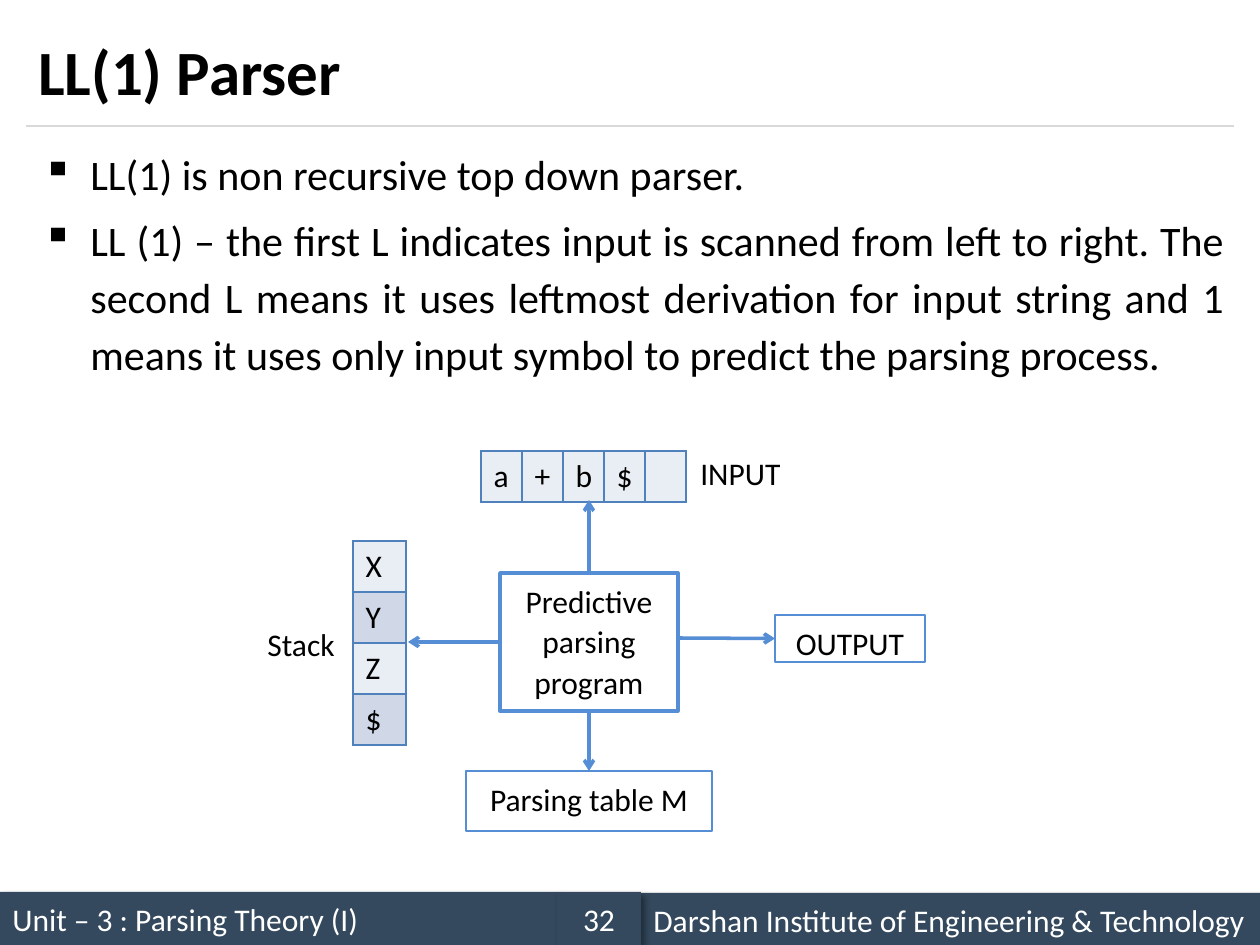
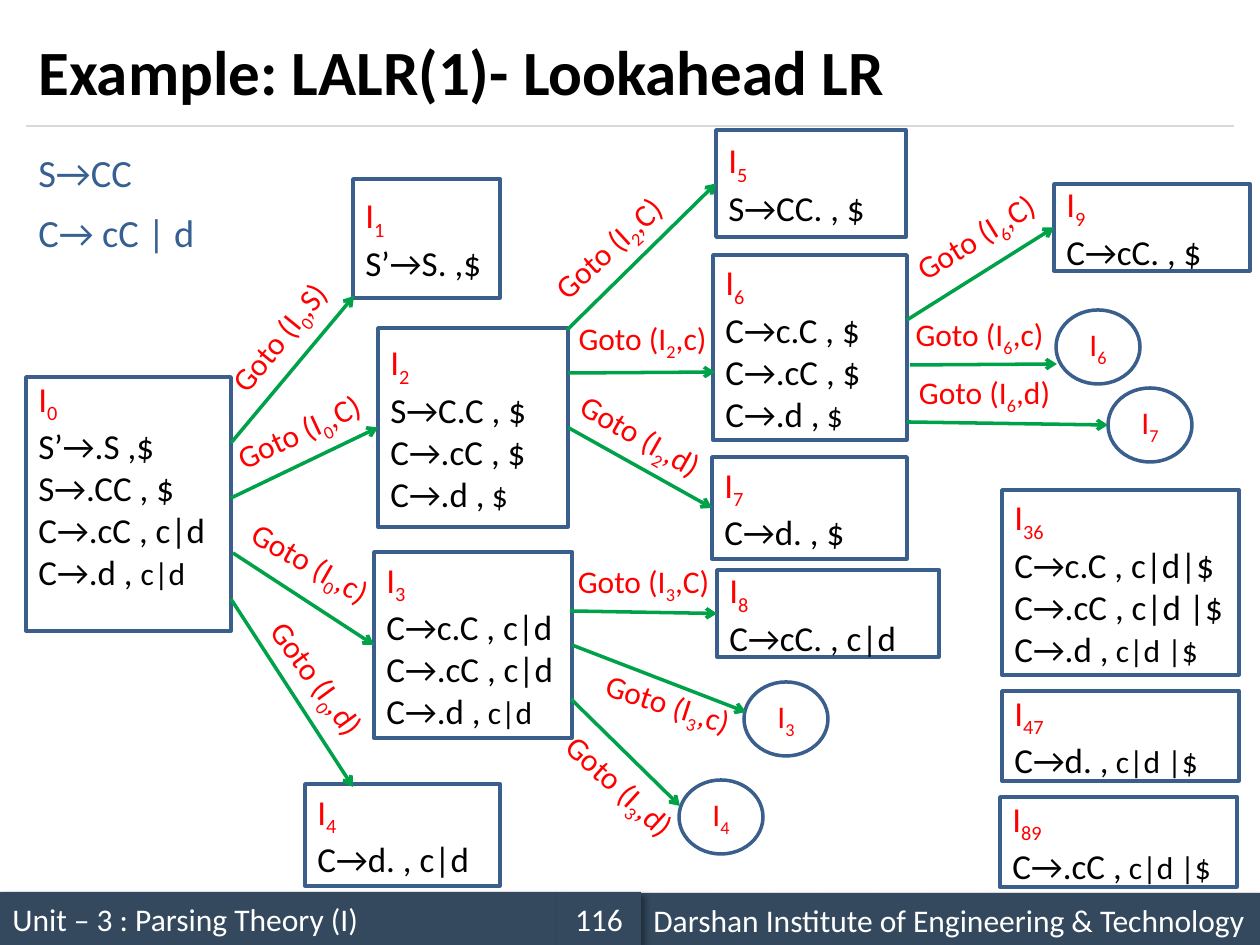
"""Builds two compiler-design slides: the LL(1) parser model and an LALR(1) state graph."""
from lxml import etree
from pptx import Presentation
from pptx.dml.color import RGBColor
from pptx.enum.shapes import MSO_CONNECTOR, MSO_SHAPE
from pptx.enum.text import MSO_ANCHOR, PP_ALIGN
from pptx.oxml import parse_xml
from pptx.oxml.ns import nsdecls, qn
from pptx.util import Emu, Pt

RECT, OVAL = MSO_SHAPE.RECTANGLE, MSO_SHAPE.OVAL
STRAIGHT = MSO_CONNECTOR.STRAIGHT
TOP, MIDDLE = MSO_ANCHOR.TOP, MSO_ANCHOR.MIDDLE
LEFT, CENTER, JUSTIFY = PP_ALIGN.LEFT, PP_ALIGN.CENTER, PP_ALIGN.JUSTIFY
SITE_TOP, SITE_LEFT, SITE_BOTTOM, SITE_RIGHT = range(4)

PX = 914400 / 126
FONT = "Calibri"
COLORS = {
    "text": "000000", "white": "FFFFFF", "footer": "34495E", "rule": "D9D9D9",
    "model": "558ED5", "grid": "4F81BD", "cell": "E9EDF4", "cell_alt": "D0D8E8",
    "grammar": "376092", "state": "3A5F8C", "label": "FF0000", "edge": "00A249",
}

UNIT = "Unit – 3 : Parsing Theory (I)"
INSTITUTE = "Darshan Institute of Engineering & Technology"

LL_POINTS = [
    "LL(1) is non recursive top down parser.",
    "LL (1) – the first L indicates input is scanned from left to right. The second L means "
    "it uses leftmost derivation for input string and 1 means it uses only input symbol to "
    "predict the parsing process.",
]
MODEL_BOXES = [
    ("Predictive parsing program", (500, 573, 178, 138), "model", 2, CENTER),
    ("Parsing table M", (466, 771, 246, 60), "model", 1.5, CENTER),
    ("INPUT", (688, 445, 116, 46), "white", 0.75, LEFT),
    ("OUTPUT", (775, 615, 150, 47), "model", 1.5, CENTER),
    ("Stack", (255, 616, 97, 53), "white", 0.75, LEFT),
]
INPUT_ROW = [["a", "+", "b", "$", ""]]
STACK_COLUMN = [["X"], ["Y"], ["Z"], ["$"]]

GRAMMAR = ["S→CC", "C→ cC | d"]
STATES = {
    "0": ((26, 377, 205, 254), [["S’→.S ,$"], ["S→.CC , $"], ["C→.cC , c|d"], ["C→.d , ", "c|d"]]),
    "1": ((353, 179, 147, 119), [["S’→S. ,$"]]),
    "2": ((378, 328, 190, 199), [["S→C.C , $"], ["C→.cC , $"], ["C→.d ,", " $"]]),
    "3": ((374, 552, 198, 186), [["C→c.C , c|d"], ["C→.cC , c|d"], ["C→.d ,", " c|d"]]),
    "4": ((305, 784, 195, 102), [["C→d. , c|d"]]),
    "5": ((716, 130, 190, 107), [["S→CC. , $"]]),
    "6": ((713, 255, 194, 185), [["C→c.C , $"], ["C→.cC , $"], ["C→.d ,", " $"]]),
    "7": ((712, 457, 195, 102), [["C→d. , $"]]),
    "8": ((717, 570, 222, 87), [["C→cC. , c|d"]]),
    "9": ((1054, 184, 196, 87), [["C→cC. , $"]]),
    "36": ((1002, 490, 237, 185), [["C→c.C , c|d|$"], ["C→.cC , c|d |$"], ["C→.d ,", " c|d |$"]]),
    "47": ((1002, 691, 237, 90), [["C→d. ,", " c|d |$"]]),
    "89": ((1000, 797, 237, 90), [["C→.cC ,", " c|d |$"]]),
}
STATE_0_BOTTOM = 44
REPEATED = [("3", 744, 682), ("4", 679, 780), ("6", 1056, 310), ("7", 1108, 388)]
REPEATED_SIZE = (84, 74)
GOTOS = [
    ("0", "S", (189, 307), 309.1, (231, 443), (354, 296)),
    ("0", "C", (208, 402), 334.9, (231, 498), "2"),
    ("0", "c", (218, 533), 29.7, (233, 553), "3"),
    ("0", "d", (224, 648), 53.7, (231, 599), (353, 787)),
    ("2", "C", (518, 218), 317.5, (567, 330), "5"),
    ("2", "c", (551, 309), 0, (568, 373), (715, 372)),
    ("2", "d", (548, 406), 29.6, "2", "7"),
    ("3", "C", (552, 552), 0, (570, 611), "8"),
    ("3", "c", (576, 674), 17.8, "3", (746, 712)),
    ("3", "d", (527, 756), 42.4, (571, 699), (680, 806)),
    ("6", "C", (885, 207), 328.3, (907, 320), "9"),
    ("6", "c", (888, 305), 0, (910, 365), (1057, 364)),
    ("6", "d", (893, 363), 0, (907, 422), (1108, 425)),
]
GOTO_SIZE = (183, 63)


def px(*values):
    return [Emu(round(v * PX)) for v in values]


def color(name):
    return RGBColor.from_string(COLORS[name])


def add_run(p, text, size, ink="text", bold=False, sub=False):
    r = p.add_run()
    r.text = text
    r.font.name, r.font.size, r.font.bold = FONT, Pt(size), bold
    r.font.color.rgb = color(ink)
    if sub:
        r._r.get_or_add_rPr().set("baseline", "-25000")


def add_paragraph(tf, first, align=LEFT):
    p = tf.paragraphs[0] if first else tf.add_paragraph()
    p.alignment = align
    return p


def add_frame(s, at, anchor=TOP):
    sp = s.shapes.add_textbox(*px(*at))
    sp.text_frame.word_wrap = True
    sp.text_frame.vertical_anchor = anchor
    return sp


def add_box(s, at, kind=RECT, fill=None, line=None, width=1, anchor=MIDDLE):
    sp = s.shapes.add_shape(kind, *px(*at))
    sp.shadow.inherit = False
    if fill:
        sp.fill.solid()
        sp.fill.fore_color.rgb = color(fill)
    else:
        sp.fill.background()
    if line:
        sp.line.color.rgb = color(line)
        sp.line.width = Pt(width)
    else:
        sp.line.fill.background()
    sp.text_frame.word_wrap = True
    sp.text_frame.vertical_anchor = anchor
    return sp


def add_line(s, start, end, ink, width, arrow=True, begin=None, finish=None):
    c = s.shapes.add_connector(STRAIGHT, *px(*start, *end))
    c.line.color.rgb = color(ink)
    c.line.width = Pt(width)
    if arrow:
        etree.SubElement(c.line._get_or_add_ln(), qn("a:tailEnd"), type="arrow")
    etree.SubElement(c._element.spPr, qn("a:effectLst"))
    if begin:
        c.begin_connect(*begin)
    if finish:
        c.end_connect(*finish)


def add_footer_band(s, at, text, align):
    sp = add_box(s, at, fill="footer")
    effects = sp._element.spPr.find(qn("a:effectLst"))
    effects.append(parse_xml(
        f'<a:outerShdw {nsdecls("a")} blurRad="50800" dist="38100" dir="2700000" algn="tl" '
        'rotWithShape="0"><a:srgbClr val="000000"><a:alpha val="40000"/></a:srgbClr></a:outerShdw>'))
    add_run(add_paragraph(sp.text_frame, True, align), text, 18, "white")


def add_base(prs, title, number):
    s = prs.slides.add_slide(prs.slide_layouts[6])
    add_footer_band(s, (0, 892, 557, 53), UNIT, LEFT)
    add_line(s, (26, 126), (1234, 126), "rule", 0.75, arrow=False)
    add_footer_band(s, (641, 893, 619, 53), INSTITUTE, LEFT)
    add_footer_band(s, (557, 892, 84, 53), number, CENTER)
    sp = add_frame(s, (26, 15, 1207, 111), MIDDLE)
    add_run(sp.text_frame.paragraphs[0], title, 36, bold=True)
    return s


def add_body(s, at, lines, size, ink="text", bullet=None, align=LEFT):
    tf = add_frame(s, at).text_frame
    for i, text in enumerate(lines):
        p = add_paragraph(tf, i == 0, align)
        p.line_spacing = 1.14
        if i:
            p.space_before = Pt(size * 0.2)
        if bullet:
            pPr = p._p.get_or_add_pPr()
            indent = px(48)[0]
            pPr.set("marL", str(indent))
            pPr.set("indent", str(-indent))
            etree.SubElement(pPr, qn("a:buChar"), char=bullet)
        add_run(p, text, size, ink)


def add_cells(s, left, top, width, height, rows):
    shape = s.shapes.add_table(len(rows), len(rows[0]),
                               *px(left, top, width * len(rows[0]), height * len(rows)))
    table = shape.table
    for column in table.columns:
        column.width = px(width)[0]
    for y, row in enumerate(rows):
        table.rows[y].height = px(height)[0]
        for x, text in enumerate(row):
            cell = table.cell(y, x)
            tcPr = cell._tc.get_or_add_tcPr()
            for side in ("lnL", "lnR", "lnT", "lnB"):
                tcPr.append(parse_xml(
                    f'<a:{side} {nsdecls("a")} w="12700"><a:solidFill>'
                    f'<a:srgbClr val="{COLORS["grid"]}"/></a:solidFill></a:{side}>'))
            cell.fill.solid()
            cell.fill.fore_color.rgb = color("cell_alt" if y % 2 else "cell")
            if text:
                add_run(cell.text_frame.paragraphs[0], text, 18)


def build_ll_parser(prs):
    s = add_base(prs, "LL(1) Parser", "32")
    add_body(s, (30, 135, 1207, 735), LL_POINTS, 24, bullet="▪", align=JUSTIFY)
    boxes = {}
    for text, at, line, width, align in MODEL_BOXES:
        sp = add_box(s, at, fill="white", line=line, width=width, anchor=TOP)
        p = add_paragraph(sp.text_frame, True, align)
        p.line_spacing = 1.07
        add_run(p, text, 18)
        boxes[text] = sp
    program = boxes["Predictive parsing program"]
    add_cells(s, 481, 451, 41, 51, INPUT_ROW)
    add_cells(s, 353, 541, 53, 51, STACK_COLUMN)
    add_line(s, (589, 573), (589, 500), "model", 2, begin=(program, SITE_TOP))
    add_line(s, (500, 642), (408, 642), "model", 2, begin=(program, SITE_LEFT))
    add_line(s, (678, 638), (775, 638), "model", 2, finish=(boxes["OUTPUT"], SITE_LEFT))
    add_line(s, (589, 711), (589, 771), "model", 2, begin=(program, SITE_BOTTOM),
             finish=(boxes["Parsing table M"], SITE_TOP))


def add_state_name(p, number, size):
    add_run(p, "I", size, "label")
    add_run(p, number, size, "label", sub=True)


def build_lalr_example(prs):
    s = add_base(prs, "Example: LALR(1)- Lookahead LR", "116")
    add_body(s, (26, 136, 1207, 735), GRAMMAR, 22, "grammar")
    boxes = {}
    for number, (at, items) in STATES.items():
        sp = boxes[number] = add_box(s, at, line="state", width=2)
        tf = sp.text_frame
        add_state_name(add_paragraph(tf, True), number, 20)
        for item in items:
            p = add_paragraph(tf, False)
            for text, size in zip(item, (20, 18)):
                add_run(p, text, size)
    boxes["0"].text_frame.margin_bottom = px(STATE_0_BOTTOM)[0]
    for number, left, top in REPEATED:
        sp = add_box(s, (left, top, *REPEATED_SIZE), OVAL, line="state", width=2)
        add_state_name(add_paragraph(sp.text_frame, True, CENTER), number, 18)
    for source, symbol, at, angle, start, end in GOTOS:
        begin = (boxes[start], SITE_RIGHT) if isinstance(start, str) else None
        finish = (boxes[end], SITE_LEFT) if isinstance(end, str) else None
        add_line(s, (0, 0) if begin else start, (0, 0) if finish else end, "edge", 2,
                 begin=begin, finish=finish)
        sp = add_frame(s, (*at, *GOTO_SIZE), MIDDLE)
        sp.rotation = angle
        p = add_paragraph(sp.text_frame, True, CENTER)
        add_run(p, "Goto (I", 18, "label")
        add_run(p, source, 18, "label", sub=True)
        add_run(p, f",{symbol})", 18, "label")


def main():
    prs = Presentation()
    prs.slide_width, prs.slide_height = px(1260, 945)
    build_ll_parser(prs)
    build_lalr_example(prs)
    prs.save("out.pptx")


if __name__ == "__main__":
    main()
